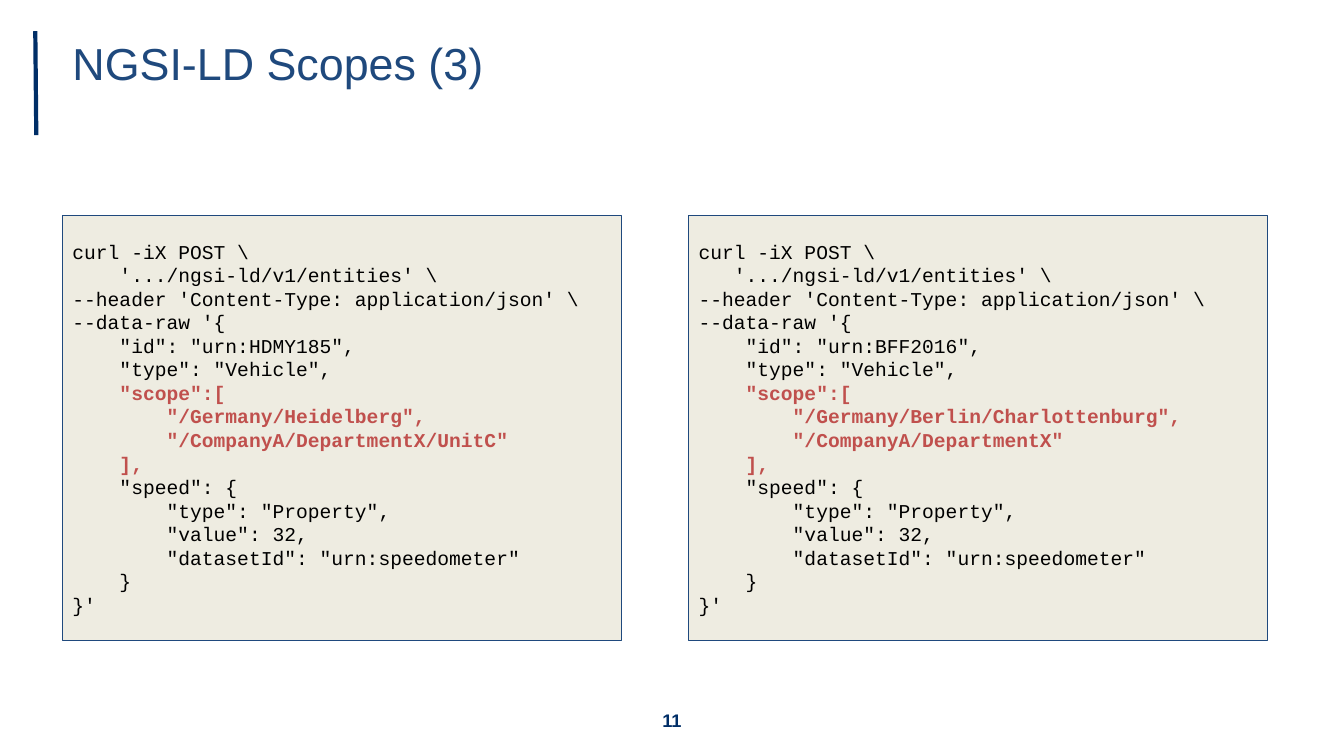
from lxml.etree import SubElement
from pptx import Presentation
from pptx.dml.color import RGBColor
from pptx.enum.shapes import MSO_CONNECTOR, MSO_SHAPE
from pptx.enum.text import MSO_ANCHOR, PP_ALIGN
from pptx.oxml.ns import qn
from pptx.util import Inches, Pt

NAVY = "002E67"
BLUE = "1F497D"
CREAM = "EEECE1"
RED = "C0504D"
BLACK = "000000"

REQUEST_START = r"""curl -iX POST \
{indent}'.../ngsi-ld/v1/entities' \
--header 'Content-Type: application/json' \
--data-raw '{{
    "id": "{entity}",
    "type": "Vehicle","""

REQUEST_SCOPE = """    "scope":[
        "{place}",
        "{unit}"
    ],"""

REQUEST_END = """    "speed": {
        "type": "Property",
        "value": 32,
        "datasetId": "urn:speedometer"
    }
}'"""


def color(value):
    """Turn a hex string into a colour."""
    return RGBColor.from_string(value)


def add_line(frame, text, first=False, font="Arial", size=14, fill=BLACK,
             bold=False, align=PP_ALIGN.LEFT):
    """Write one paragraph of formatted text into a text frame."""
    para = frame.paragraphs[0] if first else frame.add_paragraph()
    para.alignment = align
    span = para.add_run()
    span.text = text
    span.font.name = font
    span.font.size = Pt(size)
    span.font.bold = bold
    span.font.color.rgb = color(fill)


def add_label(page, text, left, top, width, height, anchor=MSO_ANCHOR.TOP, **style):
    """Add a text box with a single line."""
    box = page.shapes.add_textbox(Inches(left), Inches(top), Inches(width), Inches(height))
    box.text_frame.word_wrap = True
    box.text_frame.vertical_anchor = anchor
    add_line(box.text_frame, text, first=True, **style)


def add_accent(page):
    """Draw the thick line beside the title."""
    line = page.shapes.add_connector(MSO_CONNECTOR.STRAIGHT, Inches(0.36), Inches(1.34),
                                     Inches(0.35), Inches(0.31))
    line.line.color.rgb = color(NAVY)
    line.line.width = Pt(3)
    SubElement(line._element.spPr, qn("a:effectLst"))


def add_request(page, left, width, indent, entity, place, unit):
    """Add a framed request with its scope lines highlighted."""
    box = page.shapes.add_shape(MSO_SHAPE.RECTANGLE, Inches(left), Inches(2.14),
                                Inches(width), Inches(4.21))
    box.shadow.inherit = False
    box.fill.solid()
    box.fill.fore_color.rgb = color(CREAM)
    box.line.color.rgb = color(BLUE)
    box.line.width = Pt(0.75)
    frame = box.text_frame
    frame.word_wrap = True
    frame.vertical_anchor = MSO_ANCHOR.MIDDLE
    frame.margin_left = frame.margin_right = Inches(0.1)
    frame.margin_top = frame.margin_bottom = Inches(0.1)

    start = REQUEST_START.format(indent=" " * indent, entity=entity)
    scope = REQUEST_SCOPE.format(place=place, unit=unit)
    first = True
    for part, fill, bold in ((start, BLACK, False), (scope, RED, True),
                             (REQUEST_END, BLACK, False)):
        for text in part.splitlines():
            add_line(frame, text, first=first, font="Courier New", fill=fill, bold=bold)
            first = False


def main():
    """Build the slide and save it."""
    deck = Presentation()
    deck.slide_width = Inches(13.33)
    deck.slide_height = Inches(7.5)
    page = deck.slides.add_slide(deck.slide_layouts[6])
    add_accent(page)
    add_label(page, "NGSI-LD Scopes (3)", 0.62, 0.31, 11.48, 1.1, size=32, fill=BLUE)
    add_label(page, "11", 5.91, 6.95, 1.51, 0.4, anchor=MSO_ANCHOR.MIDDLE,
              size=13, fill=NAVY, bold=True, align=PP_ALIGN.CENTER)
    add_request(page, 0.62, 5.54, indent=4, entity="urn:HDMY185",
                place="/Germany/Heidelberg", unit="/CompanyA/DepartmentX/UnitC")
    add_request(page, 6.83, 5.74, indent=3, entity="urn:BFF2016",
                place="/Germany/Berlin/Charlottenburg", unit="/CompanyA/DepartmentX")
    deck.save("out.pptx")


if __name__ == "__main__":
    main()
